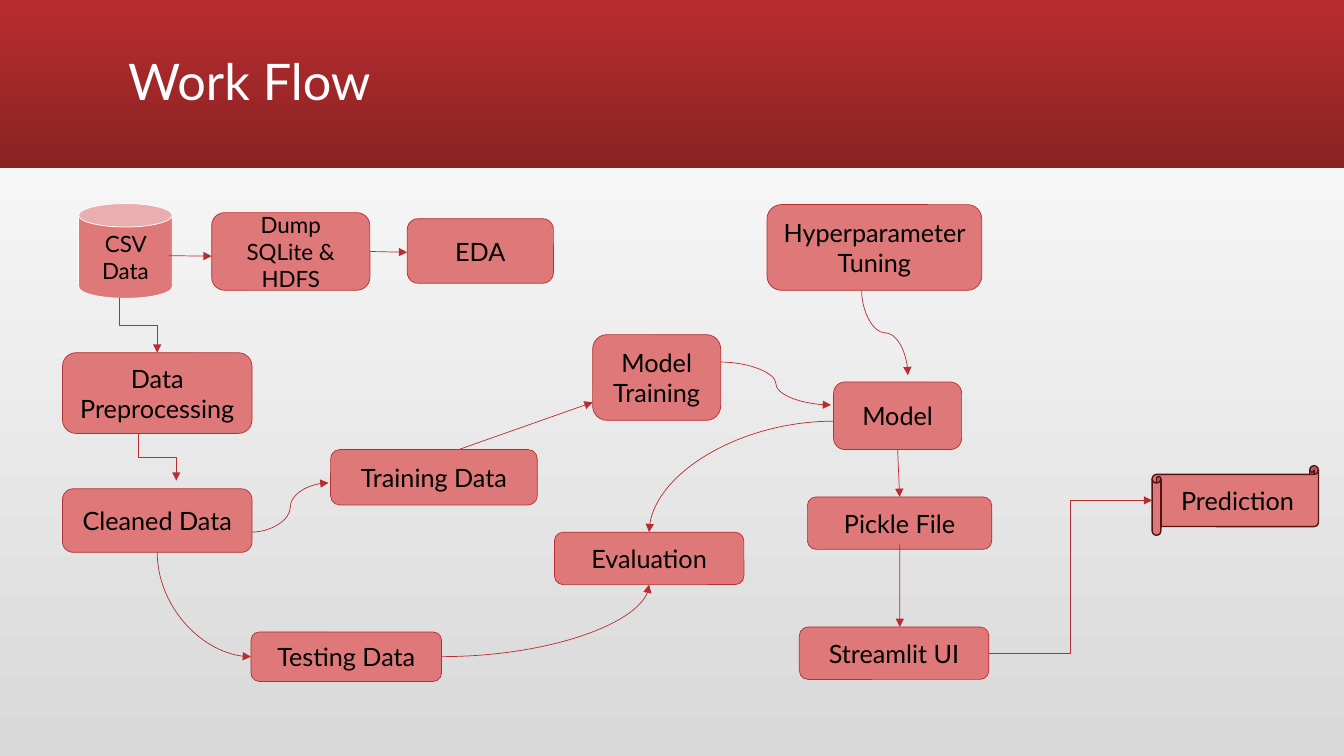
from dataclasses import dataclass

from lxml import etree
from pptx import Presentation
from pptx.dml.color import RGBColor
from pptx.enum.shapes import MSO_CONNECTOR, MSO_SHAPE
from pptx.enum.text import MSO_ANCHOR, PP_ALIGN
from pptx.oxml.ns import qn
from pptx.util import Inches, Pt

ROUND, CAN = MSO_SHAPE.ROUNDED_RECTANGLE, MSO_SHAPE.CAN
SCROLL, RECTANGLE = MSO_SHAPE.HORIZONTAL_SCROLL, MSO_SHAPE.RECTANGLE
STRAIGHT, ELBOW, CURVE = MSO_CONNECTOR.STRAIGHT, MSO_CONNECTOR.ELBOW, MSO_CONNECTOR.CURVE
LEFT, CENTER, MIDDLE = PP_ALIGN.LEFT, PP_ALIGN.CENTER, MSO_ANCHOR.MIDDLE
TITLE_ONLY = 5
COLUMNS, ROWS = 133.33, 75
CELL = 0.1  # inches per grid column and row


@dataclass(frozen=True)
class Theme:
    font: str = "Lato"
    node: str = "DE7879"
    red: str = "B82D2F"
    dark_red: str = "8A2223"
    scroll_line: str = "511415"
    gray: str = "D9D9D9"
    white: str = "FFFFFF"
    black: str = "000000"
    title_size: float = 36
    node_size: float = 18
    small_size: float = 16
    thin: float = 0.5


THEME = Theme()


@dataclass(frozen=True)
class Node:
    """A step of the flow, placed in grid columns and rows."""
    text: str
    column: float
    row: float
    width: float
    height: float
    size: float = THEME.node_size
    kind: MSO_SHAPE = ROUND
    line: str = THEME.red
    line_width: float = THEME.thin

    def point(self, across: float, down: float) -> tuple[float, float]:
        """Grid position at the given shares of the node's width and height."""
        return self.column + across * self.width, self.row + down * self.height


@dataclass(frozen=True)
class Link:
    """An arrow between two nodes; ends are shares of each node's size."""
    source: str
    leave: tuple[float, float]
    target: str
    arrive: tuple[float, float]
    kind: MSO_CONNECTOR = STRAIGHT
    downward: bool = False
    quarter: bool = False


NODES = {
    "csv": Node("CSV Data", 7.8, 20.2, 9.3, 9.4, THEME.small_size, CAN, THEME.white),
    "dump": Node("Dump SQLite & HDFS", 21, 21.1, 15.7, 7.7, THEME.small_size),
    "eda": Node("EDA", 40.4, 21.7, 14.5, 6.4),
    "preprocessing": Node("Data Preprocessing", 6.2, 35, 18.8, 8),
    "cleaned": Node("Cleaned Data", 6.2, 48.5, 18.8, 6.3),
    "testing": Node("Testing Data", 24.9, 62.7, 18.9, 4.9),
    "training": Node("Training Data", 32.8, 44.6, 20.5, 5.5),
    "fit": Node("Model Training", 58.8, 33.2, 12.7, 8.5),
    "tuning": Node("Hyperparameter Tuning", 76.1, 20.3, 21.3, 8.5),
    "model": Node("Model", 82.7, 37.9, 12.7, 6.7),
    "evaluation": Node("Evaluation", 55, 52.8, 18.8, 5.2),
    "pickle": Node("Pickle File", 80.1, 49.3, 18.3, 5.2),
    "streamlit": Node("Streamlit UI", 79.3, 62.2, 18.8, 5.2),
    "prediction": Node("Prediction", 114.3, 46.2, 16.5, 6.9, kind=SCROLL,
                       line=THEME.scroll_line, line_width=1),
}

LINKS = [
    Link("csv", (0.96, 0.55), "dump", (0, 0.56)),
    Link("dump", (1, 0.5), "eda", (0, 0.52)),
    Link("csv", (0.44, 1), "preprocessing", (0.5, 0), ELBOW, downward=True),
    Link("preprocessing", (0.4, 1), "cleaned", (0.6, -0.13), ELBOW, downward=True),
    Link("cleaned", (1, 0.68), "training", (-0.01, 0.6), CURVE),
    Link("cleaned", (0.5, 1), "testing", (0, 0.5), CURVE, downward=True, quarter=True),
    Link("training", (0.62, 0), "fit", (0, 0.79)),
    Link("fit", (1, 0.32), "model", (-0.02, 0.34), CURVE),
    Link("tuning", (0.44, 1), "model", (0.58, -0.1), CURVE, downward=True),
    Link("model", (0.5, 1), "pickle", (0.5, 0)),
    Link("model", (0, 0.58), "evaluation", (0.5, 0), CURVE, quarter=True),
    Link("testing", (1, 0.5), "evaluation", (0.5, 1), CURVE, quarter=True),
    Link("pickle", (0.5, 0.9), "streamlit", (0.53, 0)),
    Link("streamlit", (1, 0.5), "prediction", (0, 0.5), ELBOW),
]


def grid(*cells: float) -> list[int]:
    return [Inches(cell * CELL) for cell in cells]


def rgb(color: str) -> RGBColor:
    return RGBColor.from_string(color)


def fill_gradient(fill, start: str, end: str, angle: float) -> None:
    fill.gradient()
    fill.gradient_angle = angle
    for stop, color in zip(fill.gradient_stops, (start, end)):
        stop.color.rgb = rgb(color)


def write(shape, text: str, *, size: float, color: str, align=CENTER,
          spacing: float = 1.0) -> None:
    frame = shape.text_frame
    frame.word_wrap = True
    frame.vertical_anchor = MIDDLE
    para = frame.paragraphs[0]
    para.alignment = align
    para.line_spacing = spacing
    span = para.add_run()
    span.text = text
    span.font.name = THEME.font
    span.font.size = Pt(size)
    span.font.color.rgb = rgb(color)


def draw_header(page) -> None:
    band = page.shapes.add_shape(RECTANGLE, *grid(0, 0, COLUMNS, 16.7))
    band.shadow.inherit = False
    band.line.fill.background()
    fill_gradient(band.fill, THEME.red, THEME.dark_red, 270)
    page.shapes._spTree.insert(2, band._element)  # behind the title
    title = page.shapes.title
    title.left, title.top, title.width, title.height = grid(11.7, 1.1, 110, 14.5)
    write(title, "Work Flow", size=THEME.title_size, color=THEME.white,
          align=LEFT, spacing=0.9)


def draw_node(page, node: Node) -> None:
    box = page.shapes.add_shape(
        node.kind, *grid(node.column, node.row, node.width, node.height))
    box.shadow.inherit = False
    box.fill.solid()
    box.fill.fore_color.rgb = rgb(THEME.node)
    box.line.color.rgb = rgb(node.line)
    box.line.width = Pt(node.line_width)
    write(box, node.text, size=node.size, color=THEME.black)


def draw_link(page, link: Link) -> None:
    """Draw an arrow; one that leaves downward is laid flat, then turned."""
    x1, y1 = NODES[link.source].point(*link.leave)
    x2, y2 = NODES[link.target].point(*link.arrive)
    if link.downward:
        middle_x, middle_y = (x1 + x2) / 2, (y1 + y2) / 2
        half_x, half_y = (y2 - y1) / 2, (x2 - x1) / 2
        x1, x2 = middle_x + half_x, middle_x - half_x
        y1, y2 = middle_y - half_y, middle_y + half_y
    arrow = page.shapes.add_connector(link.kind, *grid(x1, y1, x2, y2))
    arrow.line.color.rgb = rgb(THEME.red)
    arrow.line.width = Pt(THEME.thin)
    properties = arrow._element.spPr
    if link.downward:
        properties.find(qn("a:xfrm")).set("rot", str(270 * 60000))
    if link.quarter:
        properties.find(qn("a:prstGeom")).set("prst", "curvedConnector2")
    etree.SubElement(properties.find(qn("a:ln")), qn("a:tailEnd"), type="triangle")
    etree.SubElement(properties, qn("a:effectLst"))


def main() -> None:
    deck = Presentation()
    deck.slide_width, deck.slide_height = grid(COLUMNS, ROWS)
    page = deck.slides.add_slide(deck.slide_layouts[TITLE_ONLY])
    fill_gradient(page.background.fill, THEME.gray, THEME.white, 90)
    draw_header(page)
    for node in NODES.values():
        draw_node(page, node)
    for link in LINKS:
        draw_link(page, link)
    deck.save("out.pptx")


if __name__ == "__main__":
    main()
